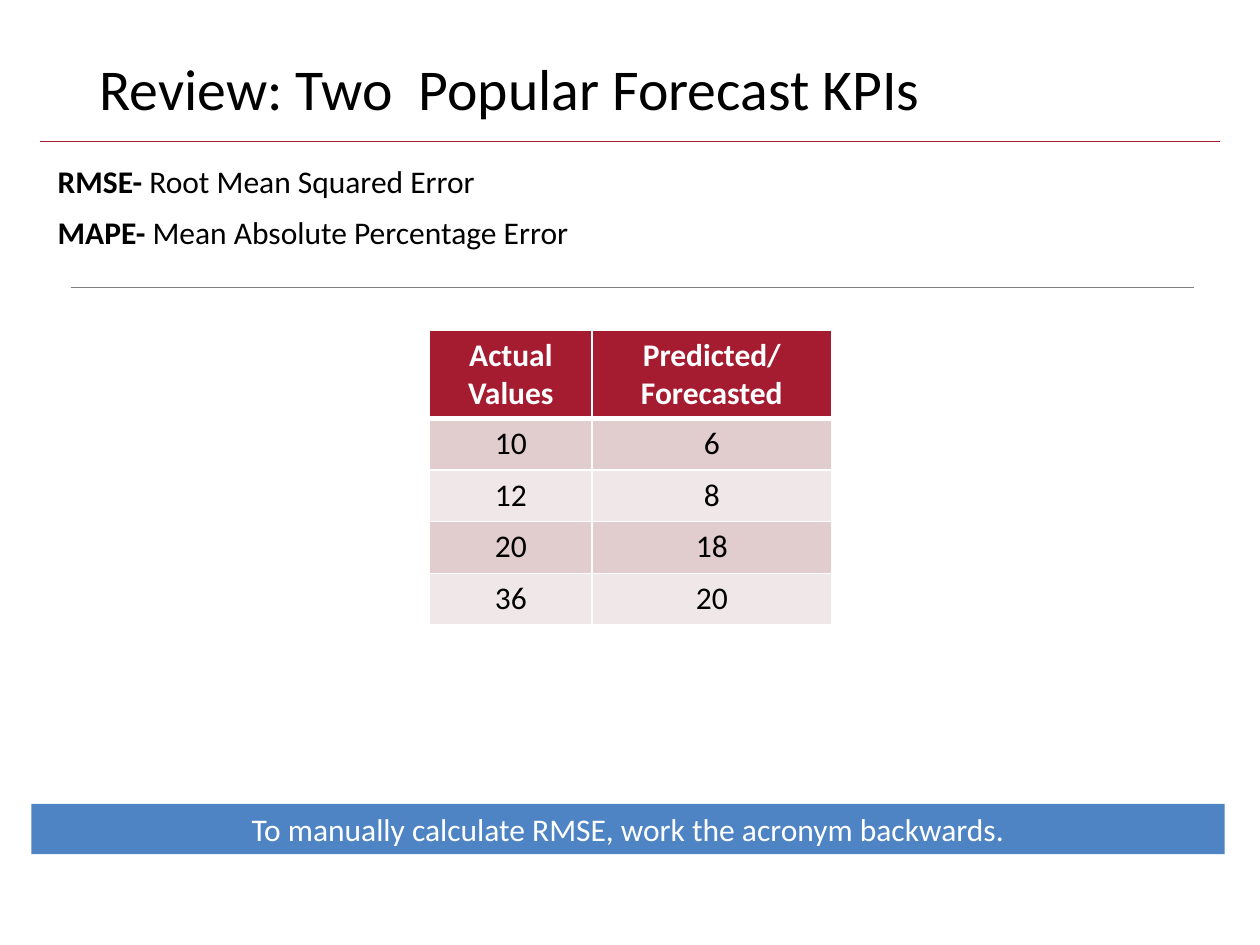
import pptx
import pptx.dml.color
import pptx.enum.shapes
import pptx.enum.text
import pptx.oxml
import pptx.oxml.ns
import pptx.util
from pptx.util import Inches

TITLE = "Review: Two  Popular Forecast KPIs"
KPIS = [
    ("RMSE-", " Root Mean Squared Error", 3.56),
    ("MAPE-", " Mean Absolute Percentage Error", 4.3),
]
FORECASTS = [
    ("Actual Values", "Predicted/Forecasted"),
    ("10", "6"),
    ("12", "8"),
    ("20", "18"),
    ("36", "20"),
]
COLUMN_WIDTHS = (1.29, 1.9)
ROW_HEIGHT = 0.41
TIP = "To manually calculate RMSE, work the acronym backwards."
RULES = [(0.32, 9.68, 1.12, "A51C30"), (0.56, 9.48, 2.28, "808080")]

CRIMSON, BLUE, BLACK, WHITE = "A51C30", "4E84C4", "000000", "FFFFFF"
BANDS = ("E1CDCD", "F0E8E8")
CENTER = pptx.enum.text.PP_ALIGN.CENTER
MIDDLE = pptx.enum.text.MSO_ANCHOR.MIDDLE
GROW = pptx.enum.text.MSO_AUTO_SIZE.SHAPE_TO_FIT_TEXT


def paint(color_format, hex_color):
    color_format.rgb = pptx.dml.color.RGBColor.from_string(hex_color)


def fill_solid(fill, hex_color):
    fill.solid()
    paint(fill.fore_color, hex_color)


def style_run(run, color, size=18, bold=False):
    run.font.name = "Calibri"
    run.font.size = pptx.util.Pt(size)
    run.font.bold = bold
    paint(run.font.color, color)


def add_title(slide):
    title = slide.shapes.title
    title.left, title.top = Inches(0.69), Inches(0.4)
    title.width, title.height = Inches(8.62), Inches(0.65)
    title.text_frame.text = TITLE
    title.text_frame.vertical_anchor = MIDDLE
    heading = title.text_frame.paragraphs[0]
    heading.alignment = pptx.enum.text.PP_ALIGN.LEFT
    heading.line_spacing = 0.9
    style_run(heading.runs[0], BLACK, 33)


def add_rule(slide, start, end, y, color):
    rule = slide.shapes.add_connector(
        pptx.enum.shapes.MSO_CONNECTOR.STRAIGHT,
        Inches(start), Inches(y), Inches(end), Inches(y))
    paint(rule.line.color, color)
    rule.line.width = pptx.util.Pt(0.5)
    rule._element.spPr.append(pptx.oxml.parse_xml(
        f'<a:effectLst {pptx.oxml.ns.nsdecls("a")}/>'))


def add_kpi(slide, top, acronym, meaning, width):
    kpi = slide.shapes.add_textbox(
        Inches(0.36), Inches(top), Inches(width), Inches(0.4))
    kpi.text_frame.word_wrap = False
    kpi.text_frame.auto_size = GROW
    definition = kpi.text_frame.paragraphs[0]
    for words, bold in ((acronym, True), (meaning, False)):
        run = definition.add_run()
        run.text = words
        style_run(run, BLACK, bold=bold)


def add_tip(slide):
    tip = slide.shapes.add_shape(
        pptx.enum.shapes.MSO_SHAPE.RECTANGLE,
        Inches(0.25), Inches(6.38), Inches(9.47), Inches(0.4))
    tip.shadow.inherit = False
    fill_solid(tip.fill, BLUE)
    tip.line.fill.background()
    tip.text_frame.word_wrap = True
    tip.text_frame.auto_size = GROW
    tip.text_frame.text = TIP
    tip.text_frame.paragraphs[0].alignment = CENTER
    style_run(tip.text_frame.paragraphs[0].runs[0], WHITE)


def add_borders(cell, top, bottom):
    properties = cell._tc.get_or_add_tcPr()
    for side, points in (("L", 1), ("R", 1), ("T", top), ("B", bottom)):
        properties.append(pptx.oxml.parse_xml(
            f'<a:ln{side} {pptx.oxml.ns.nsdecls("a")} w="{pptx.util.Pt(points)}">'
            f'<a:solidFill><a:srgbClr val="{WHITE}"/></a:solidFill></a:ln{side}>'))


def add_forecast_table(slide):
    forecast = slide.shapes.add_table(
        len(FORECASTS), len(COLUMN_WIDTHS), Inches(3.41), Inches(2.62),
        Inches(sum(COLUMN_WIDTHS)), Inches(ROW_HEIGHT * len(FORECASTS))).table
    for column, width in zip(forecast.columns, COLUMN_WIDTHS):
        column.width = Inches(width)
    for row_index, values in enumerate(FORECASTS):
        forecast.rows[row_index].height = Inches(ROW_HEIGHT)
        header = row_index == 0
        background = CRIMSON if header else BANDS[(row_index - 1) % 2]
        for column_index, value in enumerate(values):
            cell = forecast.cell(row_index, column_index)
            add_borders(cell, 3 if row_index == 1 else 1, 3 if header else 1)
            fill_solid(cell.fill, background)
            cell.text_frame.text = value
            paragraph = cell.text_frame.paragraphs[0]
            paragraph.alignment = CENTER
            style_run(paragraph.runs[0], WHITE if header else BLACK, bold=header)


def main():
    deck = pptx.Presentation()
    deck.slide_width, deck.slide_height = Inches(10), Inches(7.5)
    slide = deck.slides.add_slide(deck.slide_layouts.get_by_name("Title Only"))
    fill_solid(slide.background.fill, WHITE)
    add_title(slide)
    for index, kpi in enumerate(KPIS):
        add_kpi(slide, 1.24 + 0.4 * index, *kpi)
    add_tip(slide)
    add_forecast_table(slide)
    for rule in RULES:
        add_rule(slide, *rule)
    deck.save("out.pptx")


if __name__ == "__main__":
    main()
